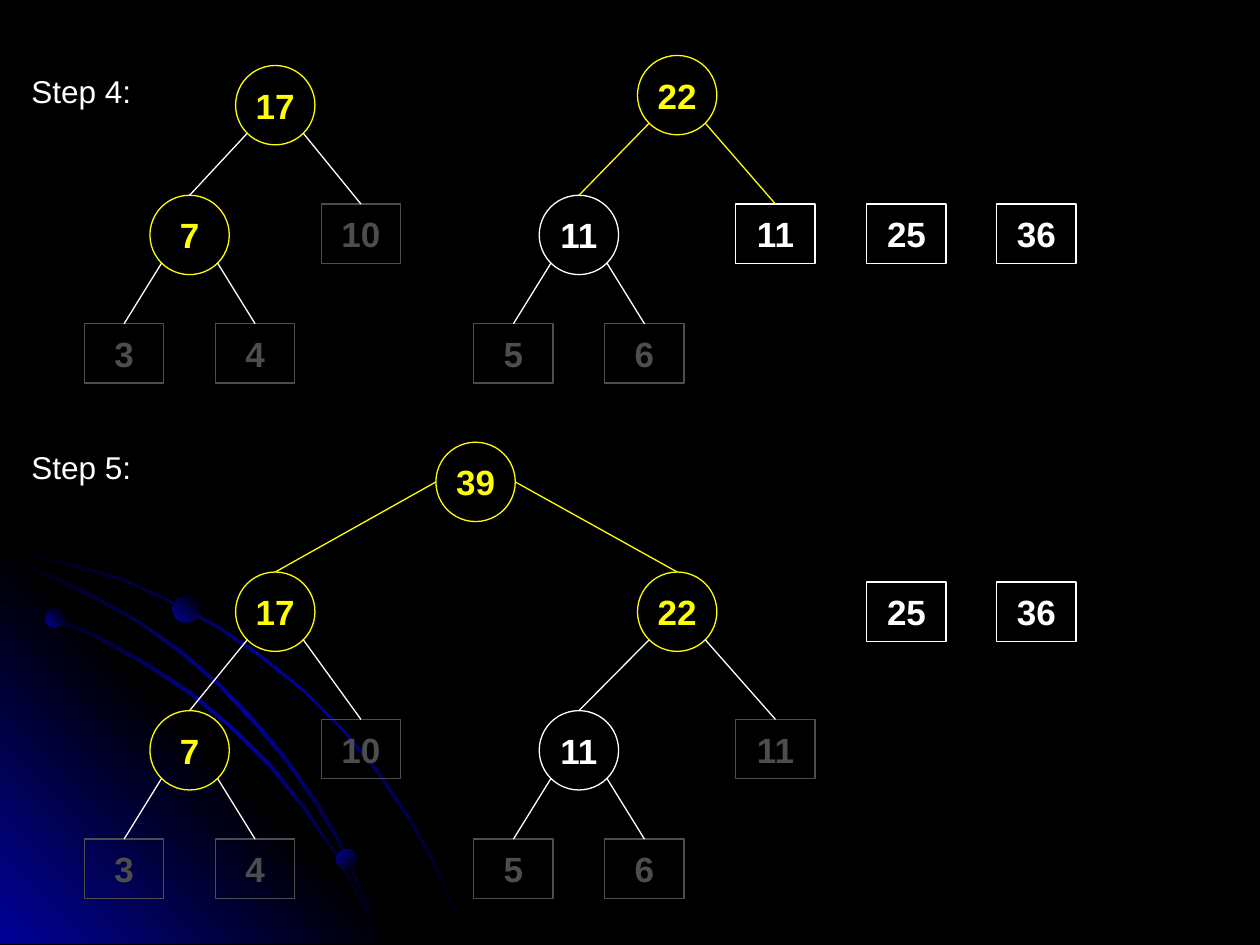
from lxml import etree
from pptx import Presentation
from pptx.dml.color import RGBColor
from pptx.enum.shapes import MSO_CONNECTOR as Conn, MSO_SHAPE as Kind
from pptx.enum.text import MSO_ANCHOR as Anchor, MSO_AUTO_SIZE as Fit, PP_ALIGN as Align
from pptx.oxml.ns import qn
from pptx.util import Inches, Pt

WHITE, GREY, YELLOW, BLACK, BLUE = "FFFFFF", "4D4D4D", "FFFF00", "000000", "010199"
SIZE, HIGH = 0.63, 0.47
RIBBONS = [
    [(0.57, 4.47), (0.28, 4.41), (0, 4.35), (0, 4.38), (0.28, 4.43), (0.56, 4.49),
     (0.97, 4.61), (1.35, 4.78), (1.73, 4.99), (2.08, 5.23), (2.41, 5.49), (2.71, 5.79),
     (2.98, 6.12), (3.23, 6.49), (3.37, 6.73), (3.5, 6.98), (3.6, 7.23), (3.7, 7.49),
     (3.72, 7.49), (3.62, 7.23), (3.52, 6.98), (3.39, 6.73), (3.25, 6.48), (3, 6.11),
     (2.72, 5.78), (2.42, 5.48), (2.09, 5.21), (1.74, 4.97), (1.36, 4.77), (0.98, 4.59)],
    [(2.85, 7.14), (2.94, 7.32), (3.01, 7.49), (3.03, 7.49), (2.96, 7.3), (2.86, 7.12),
     (2.66, 6.76), (2.42, 6.4), (2.15, 6.06), (1.84, 5.76), (1.52, 5.49), (1.17, 5.26),
     (0.79, 5.05), (0.41, 4.88), (0, 4.75), (0, 4.77), (0.39, 4.9), (0.77, 5.07),
     (1.15, 5.28), (1.5, 5.51), (1.83, 5.78), (2.13, 6.08), (2.4, 6.41), (2.65, 6.77)],
    [(0, 4.42), (0, 4.44), (0.36, 4.57), (0.74, 4.75), (1.09, 4.94), (1.42, 5.18),
     (1.73, 5.44), (2.02, 5.75), (2.27, 6.05), (2.52, 6.41), (2.67, 6.67), (2.8, 6.94),
     (2.92, 7.22), (3.01, 7.49), (3.03, 7.49), (2.94, 7.2), (2.82, 6.93), (2.69, 6.65),
     (2.54, 6.39), (2.29, 6.03), (2.04, 5.73), (1.75, 5.43), (1.44, 5.16), (1.11, 4.93),
     (0.76, 4.73), (0.39, 4.55)],
]


def rgb(code):
    """Turn a hex string into a colour."""
    return RGBColor.from_string(code)


def blend(shape, angle, *codes):
    """Fill a shape with evenly spaced gradient stops at a clockwise angle."""
    shape.shadow.inherit = False
    shape.line.fill.background()
    shape.fill.gradient()
    shape.fill.gradient_angle = 360 - angle
    stops = shape._element.spPr.find(qn("a:gradFill")).find(qn("a:gsLst"))
    for stop in list(stops):
        stops.remove(stop)
    for i, code in enumerate(codes):
        stop = etree.SubElement(stops, qn("a:gs"), pos=str(100000 * i // (len(codes) - 1)))
        etree.SubElement(stop, qn("a:srgbClr"), val=code)


def outline(slide, points):
    """Draw a closed outline through points in inches."""
    spots = [(Inches(x), Inches(y)) for x, y in points]
    pen = slide.shapes.build_freeform(*spots[0])
    pen.add_line_segments(spots[1:], close=True)
    return pen.convert_to_shape()


def decor(slide, left, top):
    """Draw the glowing corner with its ribbons and beads."""
    def ribbon(points):
        """Draw one ribbon, moved with the corner."""
        moved = [(left + x, top + y - 4.27) for x, y in points]
        blend(outline(slide, moved), 45, BLACK, BLUE, BLACK)

    ribbon(RIBBONS[0])
    corner = [(left + 3.22, top + 3.22), (left, top + 3.22), (left, top)]
    blend(outline(slide, corner), 315, BLUE, BLACK, BLUE)
    for points in RIBBONS[1:]:
        ribbon(points)
    for x, y, size, angle in [(0.36, 0.56, 0.15, 315), (2.67, 2.47, 0.16, 45),
                              (1.37, 0.46, 0.21, 315)]:
        bead = slide.shapes.add_shape(Kind.OVAL, Inches(left + x), Inches(top + y),
                                      Inches(size), Inches(size))
        blend(bead, angle, BLUE, BLACK)


def write(shape, text, size, color, bold):
    """Put one centred run into a shape."""
    frame = shape.text_frame
    frame.word_wrap = False
    para = frame.paragraphs[0]
    para.alignment = Align.CENTER
    run = para.add_run()
    run.text = text
    font = run.font
    font.name, font.size, font.bold = "Arial", Pt(size), bold
    font.color.rgb = rgb(color)


def node(slide, x, y, text, color, kind=Kind.RECTANGLE):
    """Draw a numbered square leaf or round node."""
    high = SIZE if kind == Kind.OVAL else HIGH
    shape = slide.shapes.add_shape(kind, Inches(x), Inches(y), Inches(SIZE), Inches(high))
    shape.shadow.inherit = False
    shape.fill.background()
    shape.line.color.rgb = rgb(color)
    shape.line.width = Pt(0.75)
    shape.text_frame.vertical_anchor = Anchor.MIDDLE
    write(shape, text, 20, color, True)
    return shape


def edge(slide, top, low, color, over=0.22, down=0.22):
    """Link a round node to the top of the node below it."""
    mid = top.left + top.width // 2
    end = low.left + low.width // 2
    side = 1 if end > mid else -1
    line = slide.shapes.add_connector(
        Conn.STRAIGHT, mid + side * Inches(over),
        top.top + top.height // 2 + Inches(down), end, low.top)
    line.end_connect(low, 0)
    line.line.color.rgb = rgb(color)
    line.line.width = Pt(0.75)
    etree.SubElement(line._element.spPr, qn("a:effectLst"))


def tree(slide, x, y, texts, shift, rise, hue, tail, link):
    """Draw a five-node tree around its inner node and return the root."""
    root, inner, right, *leaves = texts
    hub = node(slide, x, y, inner, hue, Kind.OVAL)
    for step, text in zip((-0.52, 0.52), leaves):
        edge(slide, hub, node(slide, x + step, y + 1.02, text, GREY), WHITE)
    head = node(slide, x + shift, y - rise, root, YELLOW, Kind.OVAL)
    edge(slide, head, hub, link)
    edge(slide, head, node(slide, x + 2 * shift, y + 0.07, right, tail), link)
    return head


def stage(slide, left, top, title, deep, rises, rest, tail, link):
    """Draw one step: label, two trees and the two waiting leaves."""
    label = slide.shapes.add_textbox(Inches(left), Inches(top), Inches(0.99), Inches(0.4))
    label.text_frame.auto_size = Fit.SHAPE_TO_FIT_TEXT
    write(label, title, 18, WHITE, False)
    y = top + deep
    heads = [
        tree(slide, left + 1.04, y, ("17", "7", "10", "3", "4"), 0.68, rises[0],
             YELLOW, GREY, WHITE),
        tree(slide, left + 4.13, y, ("22", "11", "11", "5", "6"), 0.78, rises[1],
             WHITE, tail, link),
    ]
    for i, text in enumerate(("25", "36")):
        node(slide, left + 6.73 + 1.03 * i, top + rest, text, WHITE)
    return heads


def main():
    """Build the slide and save it."""
    deck = Presentation()
    deck.slide_width, deck.slide_height = Inches(10), Inches(7.5)
    slide = deck.slides.add_slide(deck.slide_layouts[6])
    slide.background.fill.solid()
    slide.background.fill.fore_color.rgb = rgb(BLACK)
    decor(slide, 0, 4.27)
    stage(slide, 0.15, 0.52, "Step 4:", 1.03, (1.03, 1.11), 1.1, WHITE, YELLOW)
    heads = stage(slide, 0.15, 3.51, "Step 5:", 2.13, (1.1, 1.1), 1.11, GREY, WHITE)
    peak = node(slide, 3.46, 3.51, "39", YELLOW, Kind.OVAL)
    for head in heads:
        edge(slide, peak, head, YELLOW, SIZE / 2, 0)
    deck.save("out.pptx")


if __name__ == "__main__":
    main()
